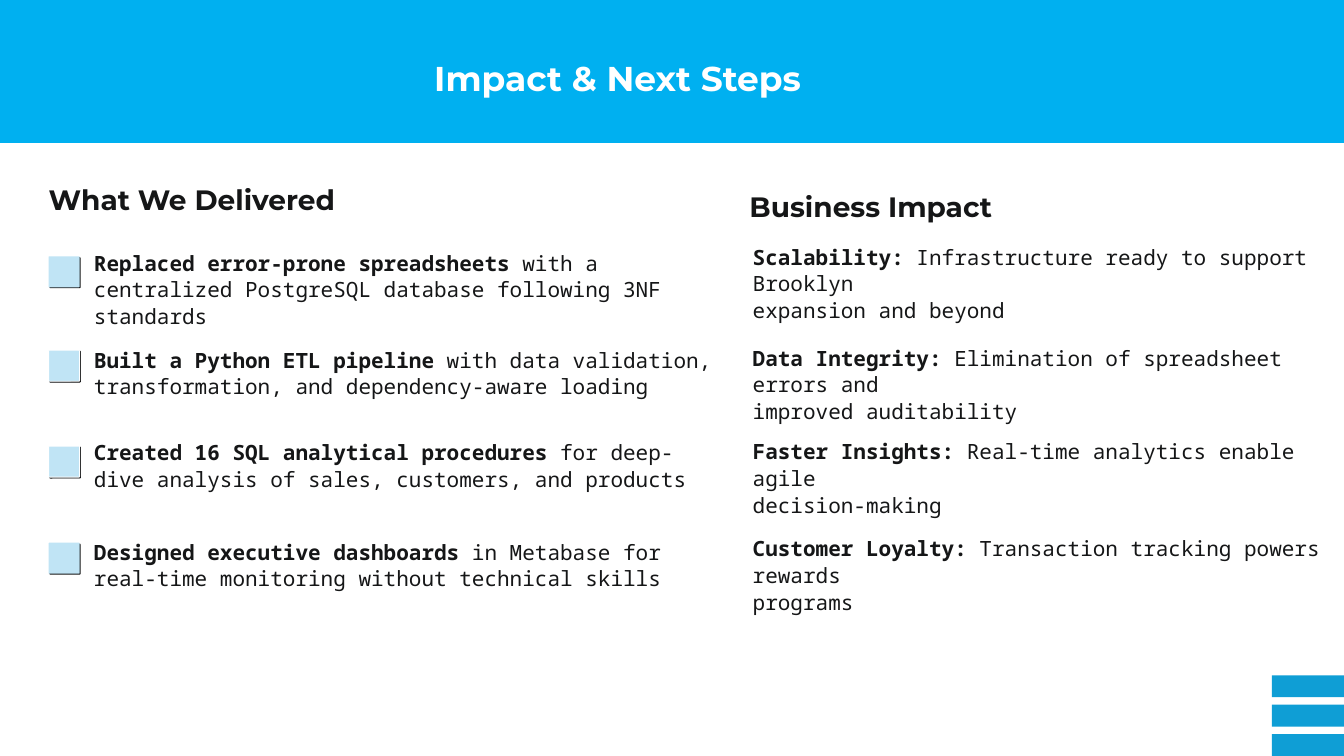
from lxml import etree
from pptx import Presentation
from pptx.dml.color import RGBColor
from pptx.enum.shapes import MSO_SHAPE as SHAPE
from pptx.enum.text import MSO_ANCHOR, MSO_AUTO_SIZE, PP_ALIGN
from pptx.oxml import parse_xml
from pptx.oxml.ns import qn
from pptx.util import Cm, Pt

SKY = RGBColor(0x00, 0xB0, 0xF0)
BLUE = RGBColor(0x0F, 0x9E, 0xD5)
PALE = RGBColor(0xC0, 0xE4, 0xF5)
INK = RGBColor(0x15, 0x16, 0x17)
WHITE = RGBColor(0xFF, 0xFF, 0xFF)
HEAD_FONT = "Montserrat"
BODY_FONT = "Noto Sans Mono"
SHADOW = (
    '<a:effectLst xmlns:a="http://schemas.openxmlformats.org/drawingml/2006/main">'
    '<a:outerShdw blurRad="0" dist="13970" dir="2700000" algn="tl" rotWithShape="0">'
    f'<a:srgbClr val="{INK}"/></a:outerShdw></a:effectLst>'
)


def write(sp, box, items, size, font=HEAD_FONT, color=INK, spacing=0.92):
    sp.left, sp.top, sp.width, sp.height = [Cm(v) for v in box]
    tf = sp.text_frame
    tf.word_wrap = True
    tf.auto_size = MSO_AUTO_SIZE.NONE
    tf.vertical_anchor = MSO_ANCHOR.TOP
    tf.margin_left = tf.margin_top = tf.margin_right = tf.margin_bottom = 0
    for i, (strong, plain, gap) in enumerate(items):
        p = tf.paragraphs[0] if i == 0 else tf.add_paragraph()
        pPr = p._p.get_or_add_pPr()
        pPr.set("marL", "0")
        pPr.set("indent", "0")
        etree.SubElement(pPr, qn("a:buNone"))
        p.alignment = PP_ALIGN.LEFT
        p.line_spacing = spacing
        p.space_before = Pt(gap)
        p.space_after = Pt(0)
        for text, bold in ((strong, True), (plain, False)):
            for j, line in enumerate(text.split("\n") if text else []):
                if j:
                    p.add_line_break()
                r = p.add_run()
                r.text = line
                r.font.name = font
                r.font.size = Pt(size)
                r.font.bold = bold
                r.font.color.rgb = color


def add_box(kind, left, top, width, height, color):
    sp = s.shapes.add_shape(kind, Cm(left), Cm(top), Cm(width), Cm(height))
    sp.shadow.inherit = False
    sp.fill.solid()
    sp.fill.fore_color.rgb = color
    sp.line.fill.background()
    return sp


prs = Presentation()
prs.slide_width, prs.slide_height = Cm(40.64), Cm(22.86)
s = prs.slides.add_slide(prs.slide_layouts.get_by_name("Comparison"))
title, left_head, left_list, right_head, right_list = s.placeholders

banner = add_box(SHAPE.RECTANGLE, 0, 0, 40.64, 4.32, SKY)
s.shapes._spTree.insert(2, banner._element)

write(title, (13.13, 1.42, 11.68, 1.32), [("Impact & Next Steps", "", 0)],
      29.5, color=WHITE, spacing=1.25)
write(left_head, (1.47, 5.61, 10.08, 1.32), [("What We Delivered", "", 0)], 24)
write(right_head, (22.66, 5.82, 11.68, 1.32), [("Business Impact", "", 0)], 24)

delivered = [
    ("Replaced error-prone spreadsheets",
     " with a centralized PostgreSQL database following 3NF standards", 0),
    ("Built a Python ETL pipeline",
     " with data validation, transformation, and dependency-aware loading", 14.4),
    ("Created 16 SQL analytical procedures",
     " for deep-dive analysis of sales, customers, and products", 33.6),
    ("Designed executive dashboards",
     " in Metabase for real-time monitoring without technical skills", 39.6),
]
impact = [
    ("Scalability:",
     " Infrastructure ready to support Brooklyn\nexpansion and beyond", 0),
    ("Data Integrity:",
     " Elimination of spreadsheet errors and\nimproved auditability", 17.8),
    ("Faster Insights:",
     " Real-time analytics enable agile\ndecision-making", 11.8),
    ("Customer Loyalty:",
     " Transaction tracking powers rewards\nprograms", 14.6),
]
write(left_list, (2.84, 7.52, 18.87, 10.6), delivered, 18, BODY_FONT, spacing=1.06)
write(right_list, (22.76, 7.34, 17.5, 11.2), impact, 18, BODY_FONT, spacing=1.06)

for top, outlined in ((7.75, False), (10.59, True), (13.49, True), (16.41, False)):
    marker = add_box(SHAPE.ROUNDED_RECTANGLE, 1.47, top, 0.94, 0.94, PALE)
    marker.adjustments[0] = 0.03
    if outlined:
        marker.line.color.rgb = WHITE
        marker.line.width = Pt(0.75)
    spPr = marker._element.spPr
    spPr.replace(spPr.find(qn("a:effectLst")), parse_xml(SHADOW))

for i in range(3):
    add_box(SHAPE.RECTANGLE, 38.46, 20.42 + 0.89 * i, 2.18, 0.66, BLUE)

prs.save("out.pptx")
